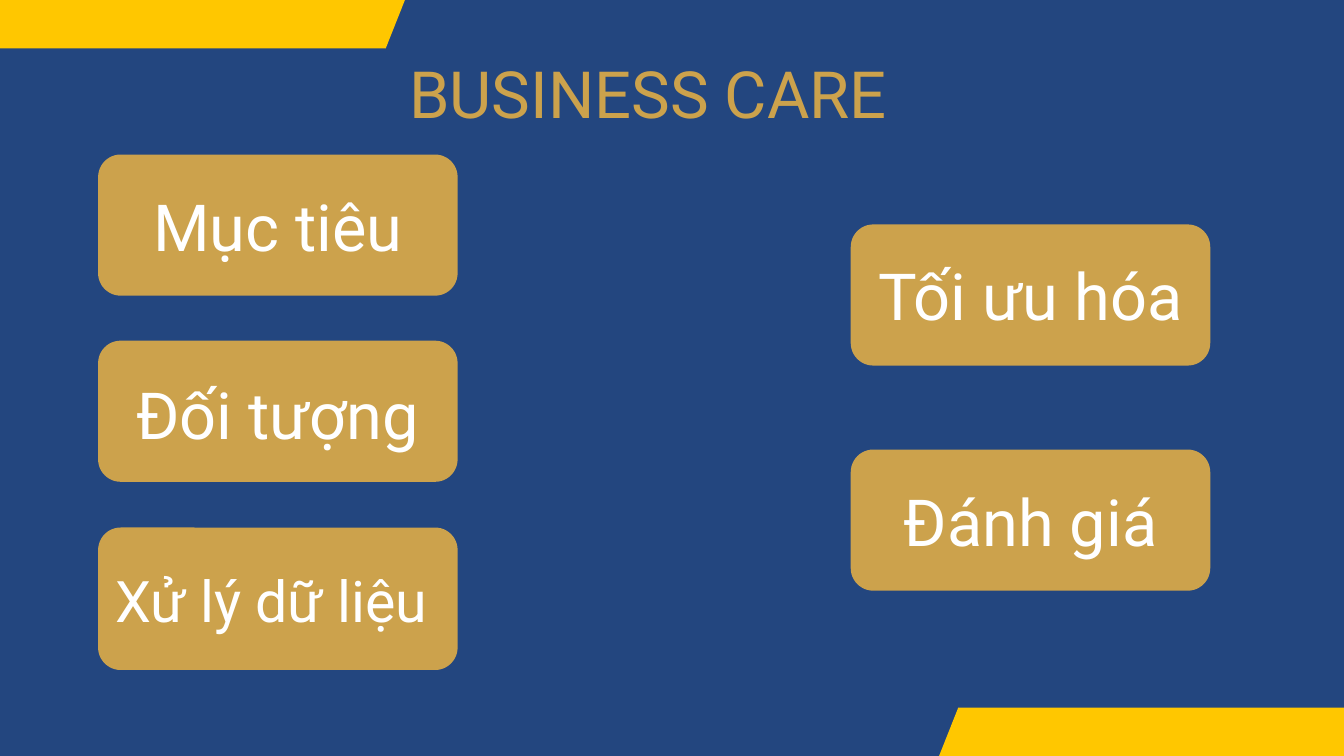
from pptx import Presentation
from pptx.dml.color import RGBColor
from pptx.enum.shapes import MSO_SHAPE as Preset
from pptx.enum.text import MSO_ANCHOR as Anchor, MSO_AUTO_SIZE as AutoSize, PP_ALIGN as Align
from pptx.util import Inches, Pt

NAVY, YELLOW, GOLD, WHITE = "23467F", "FFC700", "CCA24C", "FFFFFF"
FONT = "Roboto"
CARD_WIDTH, CARD_RADIUS = 5.35, 0.335
BAND_WIDTH, BAND_HEIGHT, BAND_SLANT = 17.11, 2.04, 0.81

# Label, left, top, height, font size, line spacing, right and bottom inset
CARDS = [
    ("Mục tiêu", 1.46, 2.3, 2.1, 69.5, 97.2, 0, 0.19),
    ("Đối tượng", 1.46, 5.07, 2.1, 69.5, 97.3, 0, 0.13),
    ("Xử lý dữ liệu", 1.46, 7.85, 2.12, 61.4, 86, 0.19, 0.15),
    ("Tối ưu hóa", 12.66, 3.34, 2.1, 69.5, 97.2, 0, 0.19),
    ("Đánh giá", 12.66, 6.69, 2.1, 69.5, 97.2, 0, 0.19),
]


def color(hex_string):
    return RGBColor.from_string(hex_string)


def paint(shape, fill):
    shape.shadow.inherit = False
    shape.fill.solid()
    shape.fill.fore_color.rgb = color(fill)
    shape.line.fill.background()


def write(shape, text, size, spacing, fill, align, anchor, right=0, bottom=0):
    frame = shape.text_frame
    frame.word_wrap = True
    frame.auto_size = AutoSize.NONE
    frame.vertical_anchor = anchor
    frame.margin_left = frame.margin_top = 0
    frame.margin_right, frame.margin_bottom = Inches(right), Inches(bottom)
    frame.text = text
    paragraph = frame.paragraphs[0]
    paragraph.alignment = align
    paragraph.line_spacing = Pt(spacing)
    paragraph.space_before = Pt(0)
    paragraph.font.name = FONT
    paragraph.font.size = Pt(size)
    paragraph.font.color.rgb = color(fill)


def add_band(slide, left, top):
    """Slanted corner band that runs past the slide edge."""
    right, bottom = left + BAND_WIDTH, top + BAND_HEIGHT
    corners = [(right, top), (right - BAND_SLANT, bottom), (left, bottom)]
    builder = slide.shapes.build_freeform(Inches(left + BAND_SLANT), Inches(top))
    builder.add_line_segments([(Inches(x), Inches(y)) for x, y in corners], close=True)
    paint(builder.convert_to_shape(), YELLOW)


def add_title(slide, text):
    title = slide.shapes.title
    title.left, title.top = Inches(6.09), Inches(0.98)
    title.width, title.height = Inches(7.82), Inches(0.98)
    write(title, text, 69.7, 70.4, GOLD, Align.LEFT, Anchor.TOP)


def add_card(slide, label, left, top, height, size, spacing, right, bottom):
    card = slide.shapes.add_shape(Preset.ROUNDED_RECTANGLE, Inches(left), Inches(top),
                                  Inches(CARD_WIDTH), Inches(height))
    card.adjustments[0] = CARD_RADIUS / height
    paint(card, GOLD)
    write(card, label, size, spacing, WHITE, Align.CENTER, Anchor.MIDDLE, right, bottom)


def main():
    presentation = Presentation()
    presentation.slide_width, presentation.slide_height = Inches(20), Inches(11.25)
    slide = presentation.slides.add_slide(presentation.slide_layouts[5])
    slide.background.fill.solid()
    slide.background.fill.fore_color.rgb = color(NAVY)

    # Corner bands
    add_band(slide, -10.56, -1.32)
    add_band(slide, 13.45, 10.53)

    # Title and topic cards
    add_title(slide, "BUSINESS CARE")
    for card in CARDS:
        add_card(slide, *card)

    presentation.save("out.pptx")


if __name__ == "__main__":
    main()
